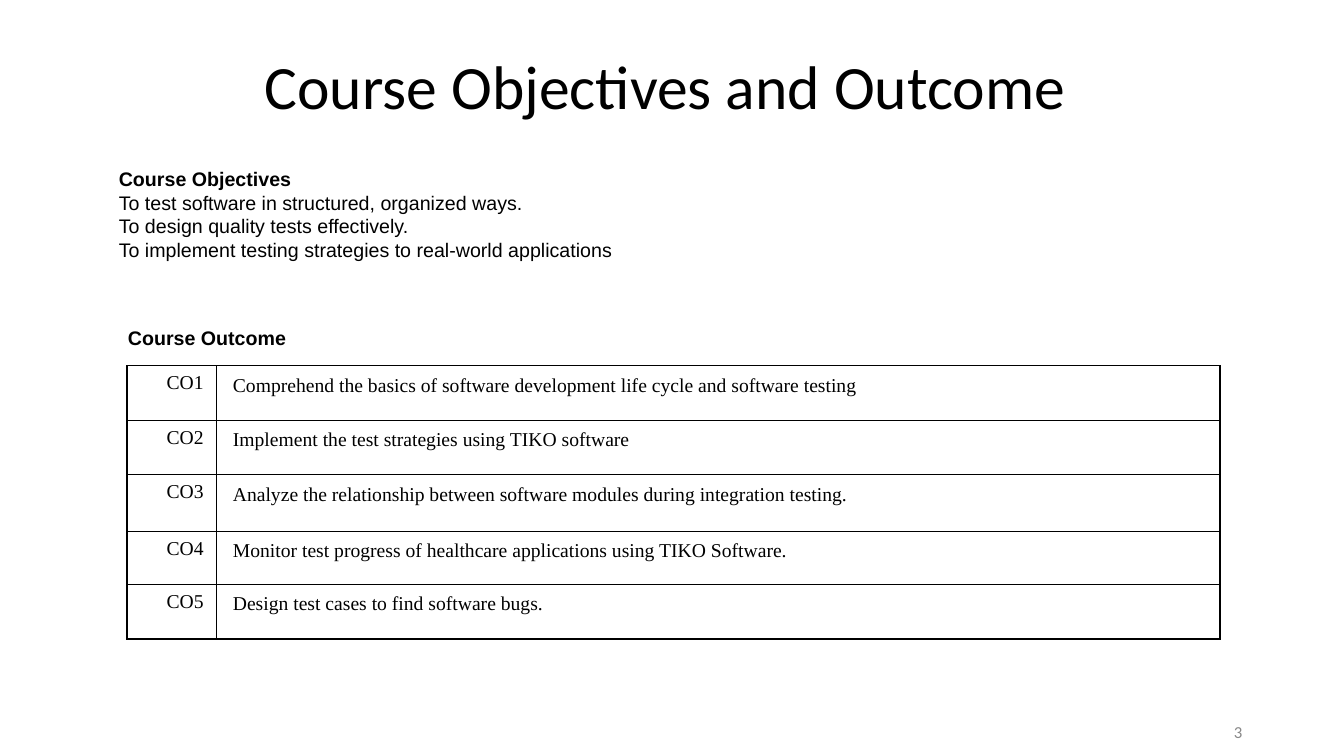
from dataclasses import dataclass

from lxml import etree
from pptx import Presentation
from pptx.dml.color import RGBColor
from pptx.enum.text import MSO_ANCHOR, PP_ALIGN
from pptx.oxml.ns import qn
from pptx.util import Inches, Pt

BLACK = RGBColor(0x00, 0x00, 0x00)
GRAY = RGBColor(0x88, 0x88, 0x88)
LEFT, CENTER, RIGHT = PP_ALIGN.LEFT, PP_ALIGN.CENTER, PP_ALIGN.RIGHT
TOP, MIDDLE = MSO_ANCHOR.TOP, MSO_ANCHOR.MIDDLE
SIDES = ("a:lnL", "a:lnR", "a:lnT", "a:lnB")

GOALS = [
    "Course Objectives",
    "To test software in structured, organized ways.",
    "To design quality tests effectively.",
    "To implement testing strategies to real-world applications",
]
RESULTS = [
    "Comprehend the basics of software development life cycle and software testing",
    "Implement the test strategies using TIKO software",
    "Analyze the relationship between software modules during integration testing.",
    "Monitor test progress of healthcare applications using TIKO Software.",
    "Design test cases to find software bugs.",
]
WIDTHS = (0.89, 9.95)
HEIGHTS = (0.54, 0.54, 0.56, 0.53, 0.54)


@dataclass
class Label:
    lines: list[str]
    box: tuple[float, float, float, float]
    size: float = 14
    font: str = "Arial"
    color: RGBColor = BLACK
    head: bool = False
    align: PP_ALIGN = LEFT
    anchor: MSO_ANCHOR = TOP
    right: float = 0.1
    base: float = 0.05
    pitch: float = 1.0
    wrap: bool = True


@dataclass
class Column:
    align: PP_ALIGN
    left: float
    right: float
    top: float
    pitch: float


COLUMNS = (
    Column(RIGHT, 0, 0.13, 0.14, 10.1),
    Column(LEFT, 0.16, 0, 0.15, 11),
)
LABELS = [
    Label(["Course Objectives and Outcome"], (0.92, 0.35, 11.5, 1.75), 44, "Calibri",
          align=CENTER, anchor=MIDDLE, right=0.24, base=0.72, pitch=0.9),
    Label(["3"], (9.42, 7.02, 3, 0.48), 12, "Calibri", GRAY,
          align=RIGHT, anchor=MIDDLE),
    Label(GOALS, (1.08, 1.61, 10.88, 1.04), head=True),
    Label(["Course Outcome"], (1.17, 3.18, 1.78, 0.34), head=True, wrap=False),
]


def style(para, size: float, name: str, color: RGBColor, bold: bool = False) -> None:
    for run in para.runs:
        font = run.font
        font.size, font.name, font.bold = Pt(size), name, bold
        font.color.rgb = color


def add_label(slide, label: Label) -> None:
    box = slide.shapes.add_textbox(*map(Inches, label.box))
    frame = box.text_frame
    frame.text = "\n".join(label.lines)
    frame.word_wrap = label.wrap
    frame.vertical_anchor = label.anchor
    frame.margin_right = Inches(label.right)
    frame.margin_bottom = Inches(label.base)
    for num, para in enumerate(frame.paragraphs):
        para.alignment = label.align
        para.line_spacing = label.pitch
        style(para, label.size, label.font, label.color, label.head and num == 0)


def add_border(cell) -> None:
    props = cell._tc.get_or_add_tcPr()
    for num, side in enumerate(SIDES):
        line = etree.Element(qn(side), w=str(Pt(1)))
        fill = etree.SubElement(line, qn("a:solidFill"))
        etree.SubElement(fill, qn("a:srgbClr"), val=str(BLACK))
        props.insert(num, line)


def fill_cell(cell, text: str, col: Column) -> None:
    cell.text = text
    cell.fill.background()
    cell.margin_left, cell.margin_right = Inches(col.left), Inches(col.right)
    cell.margin_top, cell.margin_bottom = Inches(col.top), 0
    para = cell.text_frame.paragraphs[0]
    para.alignment = col.align
    para.line_spacing = Pt(col.pitch)
    style(para, 14, "Times New Roman", BLACK)
    add_border(cell)


def add_results(slide) -> None:
    size = (sum(WIDTHS), sum(HEIGHTS))
    frame = slide.shapes.add_table(len(RESULTS), len(COLUMNS),
                                   *map(Inches, (1.26, 3.63, *size)))
    table = frame.table
    table.first_row = table.horz_banding = False
    for col, width in zip(table.columns, WIDTHS):
        col.width = Inches(width)
    for num, (text, height) in enumerate(zip(RESULTS, HEIGHTS)):
        table.rows[num].height = Inches(height)
        for pos, value in enumerate((f"CO{num + 1}", text)):
            fill_cell(table.cell(num, pos), value, COLUMNS[pos])


def main() -> None:
    deck = Presentation()
    deck.slide_width, deck.slide_height = Inches(13.33), Inches(7.5)
    slide = deck.slides.add_slide(deck.slide_layouts[6])
    for label in LABELS:
        add_label(slide, label)
    add_results(slide)
    deck.save("out.pptx")


if __name__ == "__main__":
    main()
